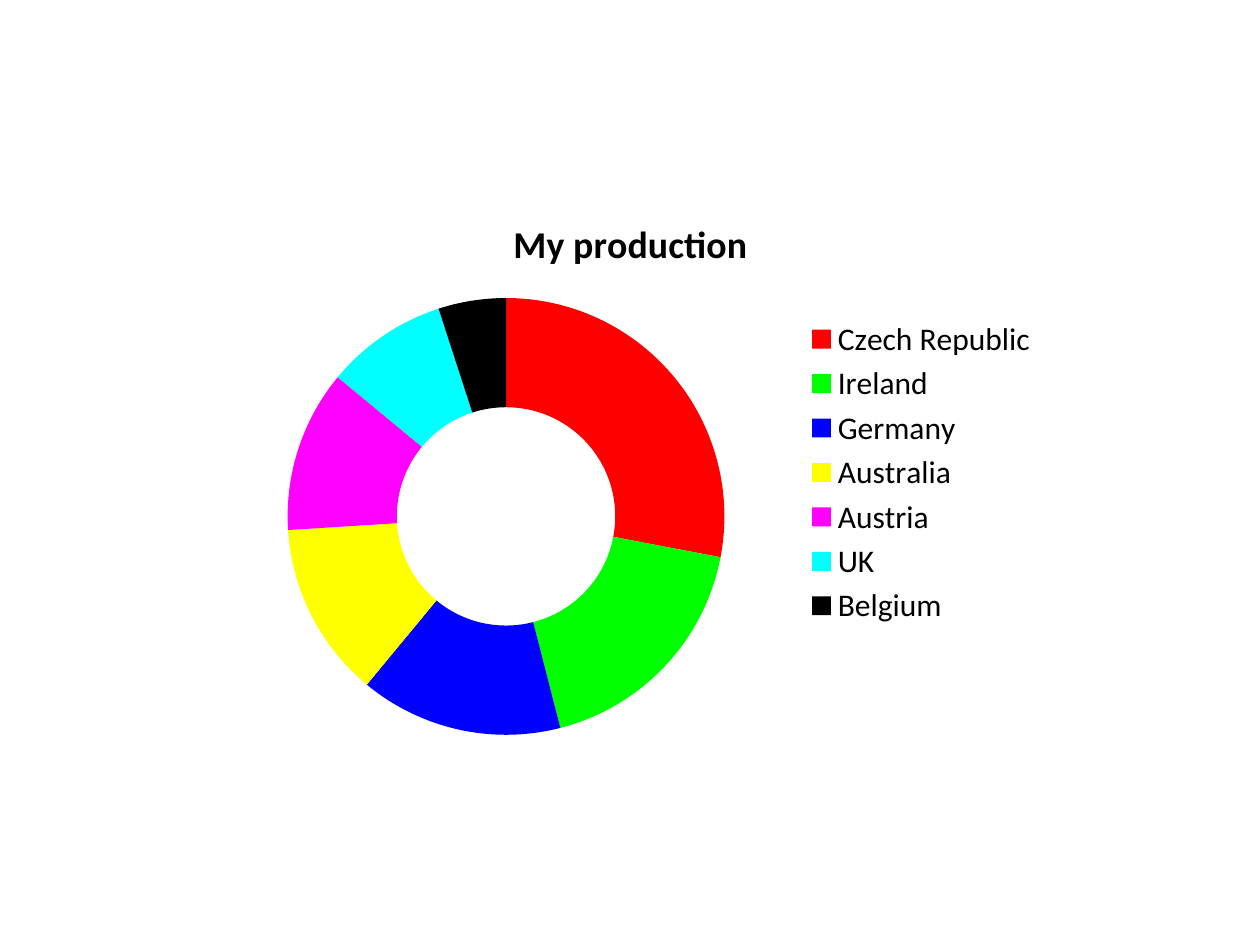
"""Build a slide with a doughnut chart of production by country."""
from dataclasses import dataclass

from pptx import Presentation
from pptx.chart.chart import Chart
from pptx.chart.data import CategoryChartData
from pptx.dml.color import RGBColor
from pptx.enum.chart import XL_CHART_TYPE, XL_LEGEND_POSITION
from pptx.util import Inches, Pt

DOUGHNUT = XL_CHART_TYPE.DOUGHNUT
RIGHT = XL_LEGEND_POSITION.RIGHT


@dataclass(frozen=True)
class Theme:
    """Font, type sizes and text colour."""
    font: str = "Calibri"
    body: float = 18
    title: float = 21.6
    ink: str = "000000"


@dataclass(frozen=True)
class Country:
    """One ring segment."""
    name: str
    share: int
    color: str


THEME = Theme()
COUNTRIES = [
    Country("Czech Republic", 28, "FF0000"),
    Country("Ireland", 18, "00FF00"),
    Country("Germany", 15, "0000FF"),
    Country("Australia", 13, "FFFF00"),
    Country("Austria", 12, "FF00FF"),
    Country("UK", 9, "00FFFF"),
    Country("Belgium", 5, "000000"),
]


def style_title(chart: Chart, text: str) -> None:
    """Set the chart title in bold."""
    chart.has_title = True
    chart.chart_title.include_in_layout = False
    p = chart.chart_title.text_frame.paragraphs[0]
    p.text = text
    p.font.name = THEME.font
    p.font.size = Pt(THEME.title)
    p.font.bold = True
    p.font.color.rgb = RGBColor.from_string(THEME.ink)


def style_ring(chart: Chart, countries: list[Country], hole: int) -> None:
    """Colour each segment and set the hole size in percent."""
    plot = chart.plots[0]
    plot.vary_by_categories = True
    for i, country in enumerate(countries):
        fill = plot.series[0].points[i].format.fill
        fill.solid()
        fill.fore_color.rgb = RGBColor.from_string(country.color)
    for size in chart.element.xpath(".//c:holeSize"):
        size.set("val", str(hole))


def main() -> None:
    """Create and save the presentation."""
    prs = Presentation()
    prs.slide_width, prs.slide_height = Inches(10), Inches(7.5)
    s = prs.slides.add_slide(prs.slide_layouts[6])

    data = CategoryChartData()
    data.categories = [c.name for c in COUNTRIES]
    data.add_series("Series 1", [c.share for c in COUNTRIES])
    chart = s.shapes.add_chart(
        DOUGHNUT, Inches(1.67), Inches(1.53), Inches(6.67), Inches(4.44), data
    ).chart
    chart.font.name = THEME.font
    chart.font.size = Pt(THEME.body)
    chart.font.color.rgb = RGBColor.from_string(THEME.ink)

    style_title(chart, "My production")
    style_ring(chart, COUNTRIES, hole=75)
    chart.has_legend = True
    chart.legend.position = RIGHT
    chart.legend.include_in_layout = False

    prs.save("out.pptx")


main()
